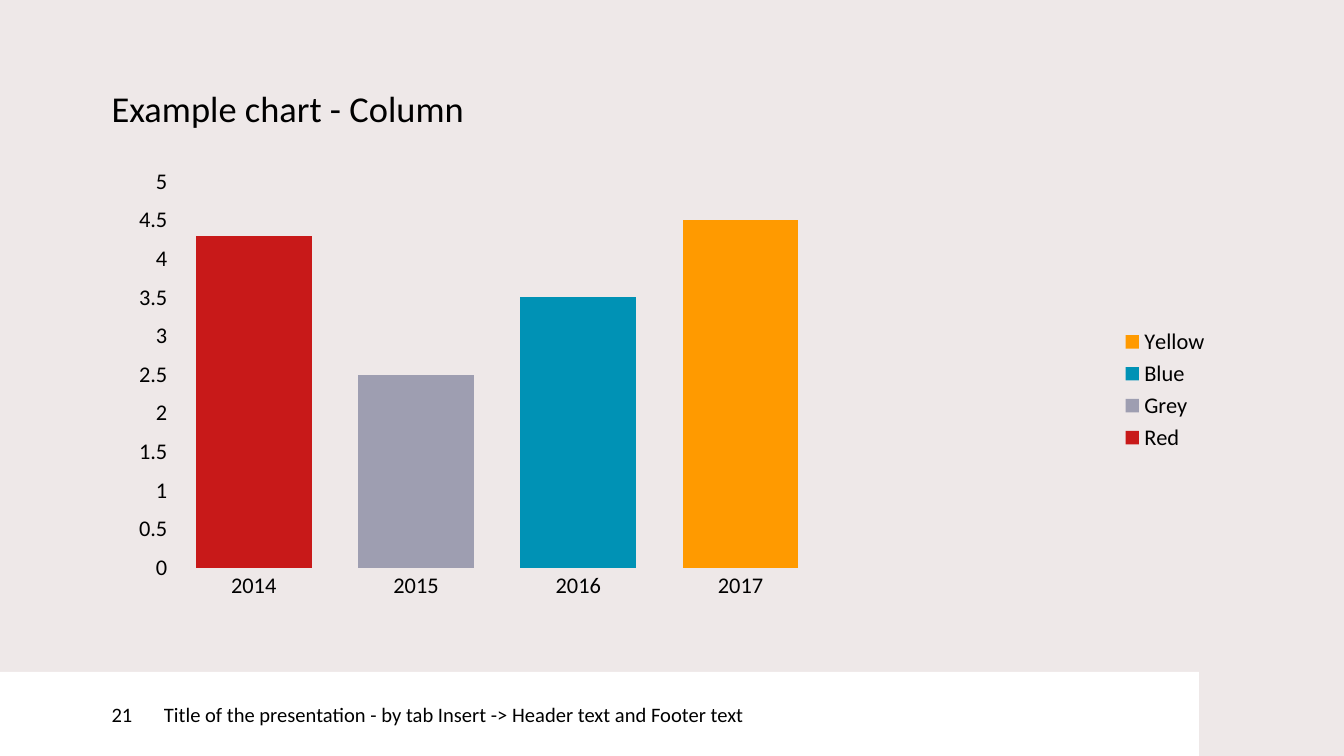
import pptx
import pptx.chart.data
import pptx.dml.color
import pptx.enum.chart
import pptx.enum.shapes
import pptx.enum.text
import pptx.util
from lxml import etree

Inches, Pt = pptx.util.Inches, pptx.util.Pt
CHART = pptx.enum.chart
ANCHOR = pptx.enum.text.MSO_ANCHOR

# Content
TITLE = "Example chart - Column"
FOOTER = "Title of the presentation - by tab Insert -> Header text and Footer text"
PAGE_NUMBER = "21"
COLUMNS = [  # year, name, value, colour
    ("2014", "Red", 4.3, "C81919"),
    ("2015", "Grey", 2.5, "9E9EB1"),
    ("2016", "Blue", 3.5, "0092B5"),
    ("2017", "Yellow", 4.5, "FF9A00"),
]

# Format: a 16:9 slide
FONT, BLACK, WHITE, BACKGROUND = "Calibri", "000000", "FFFFFF", "EEE8E8"
WIDTH = 10
HEIGHT = WIDTH * 9 / 16
MARGIN, CONTENT_WIDTH = 0.83, 8.27
FOOTER_TOP, FOOTER_LEFT, FOOTER_RIGHT = 5, 1.22, 8.92
PLOT = {"x": 0.055, "y": 0.05, "w": 0.584, "h": 0.835}


def rgb(value):
    return pptx.dml.color.RGBColor.from_string(value)


def apply(target, values):
    for name, value in values.items():
        setattr(target, name, value)


def style_font(font, size):
    apply(font, {"name": FONT, "size": Pt(size), "bold": False})
    font.color.rgb = rgb(BLACK)


def paint(fill, color):
    fill.solid()
    fill.fore_color.rgb = rgb(color)


def write(shape, text, size, anchor, inset=0, wrap=True):
    frame = shape.text_frame
    apply(frame, {"margin_left": Inches(inset), "margin_right": 0,
                  "margin_top": 0, "margin_bottom": 0,
                  "vertical_anchor": anchor, "word_wrap": wrap,
                  "auto_size": pptx.enum.text.MSO_AUTO_SIZE.NONE})
    paragraph = frame.paragraphs[0]
    paragraph.alignment = pptx.enum.text.PP_ALIGN.LEFT
    run = paragraph.add_run()
    run.text = text
    style_font(run.font, size)


def set_plot_layout(chart, box):
    plot_area = chart.plots[0]._element.getparent()
    uri = etree.QName(plot_area).namespace
    for old in plot_area.findall(f"{{{uri}}}layout"):
        plot_area.remove(old)
    layout = etree.Element(f"{{{uri}}}layout")
    manual = etree.SubElement(layout, f"{{{uri}}}manualLayout")
    settings = {"layoutTarget": "inner", "xMode": "edge", "yMode": "edge", **box}
    for tag, value in settings.items():
        etree.SubElement(manual, f"{{{uri}}}{tag}").set("val", str(value))
    plot_area.insert(0, layout)


# Slide and background
deck = pptx.Presentation()
apply(deck, {"slide_width": Inches(WIDTH), "slide_height": Inches(HEIGHT)})
slide = deck.slides.add_slide(deck.slide_layouts[5])
paint(slide.background.fill, BACKGROUND)

# Title
title = slide.shapes.title
apply(title, {"left": Inches(MARGIN), "top": Inches(0.64),
              "width": Inches(CONTENT_WIDTH), "height": Inches(0.56)})
write(title, TITLE, 19.5, ANCHOR.TOP, wrap=False)

# Footer bar: footer text, then page number
for text, left, right, inset in [
    (FOOTER, FOOTER_LEFT, FOOTER_RIGHT, 0),
    (PAGE_NUMBER, 0, FOOTER_LEFT, MARGIN),
]:
    bar = slide.shapes.add_shape(
        pptx.enum.shapes.MSO_SHAPE.RECTANGLE, Inches(left), Inches(FOOTER_TOP),
        Inches(right - left), Inches(HEIGHT - FOOTER_TOP))
    bar.shadow.inherit = False
    paint(bar.fill, WHITE)
    bar.line.fill.background()
    write(bar, text, 11, ANCHOR.MIDDLE, inset)

# Column chart: each series holds one year's value
data = pptx.chart.data.CategoryChartData()
data.categories = [year for year, *_ in COLUMNS]
for position, (_, name, value, _) in enumerate(COLUMNS):
    data.add_series(name, [value if i == position else None
                           for i in range(len(COLUMNS))])
chart = slide.shapes.add_chart(
    CHART.XL_CHART_TYPE.COLUMN_STACKED, Inches(MARGIN), Inches(1.18),
    Inches(CONTENT_WIDTH), Inches(3.44), data).chart
apply(chart, {"has_title": False, "has_legend": True})
style_font(chart.font, 10)
plot = chart.plots[0]
apply(plot, {"gap_width": 40, "overlap": 100, "vary_by_categories": False})
for series, (*_, color) in zip(plot.series, COLUMNS):
    paint(series.format.fill, color)
set_plot_layout(chart, PLOT)

# Axes and legend
apply(chart.value_axis, {"minimum_scale": 0, "maximum_scale": 5, "major_unit": 0.5})
for axis in (chart.category_axis, chart.value_axis):
    apply(axis, {"has_major_gridlines": False,
                 "major_tick_mark": CHART.XL_TICK_MARK.NONE,
                 "minor_tick_mark": CHART.XL_TICK_MARK.NONE})
    axis.format.line.fill.background()
    style_font(axis.tick_labels.font, 12)
apply(chart.legend, {"position": CHART.XL_LEGEND_POSITION.RIGHT,
                     "include_in_layout": False})
style_font(chart.legend.font, 12)

deck.save("out.pptx")
